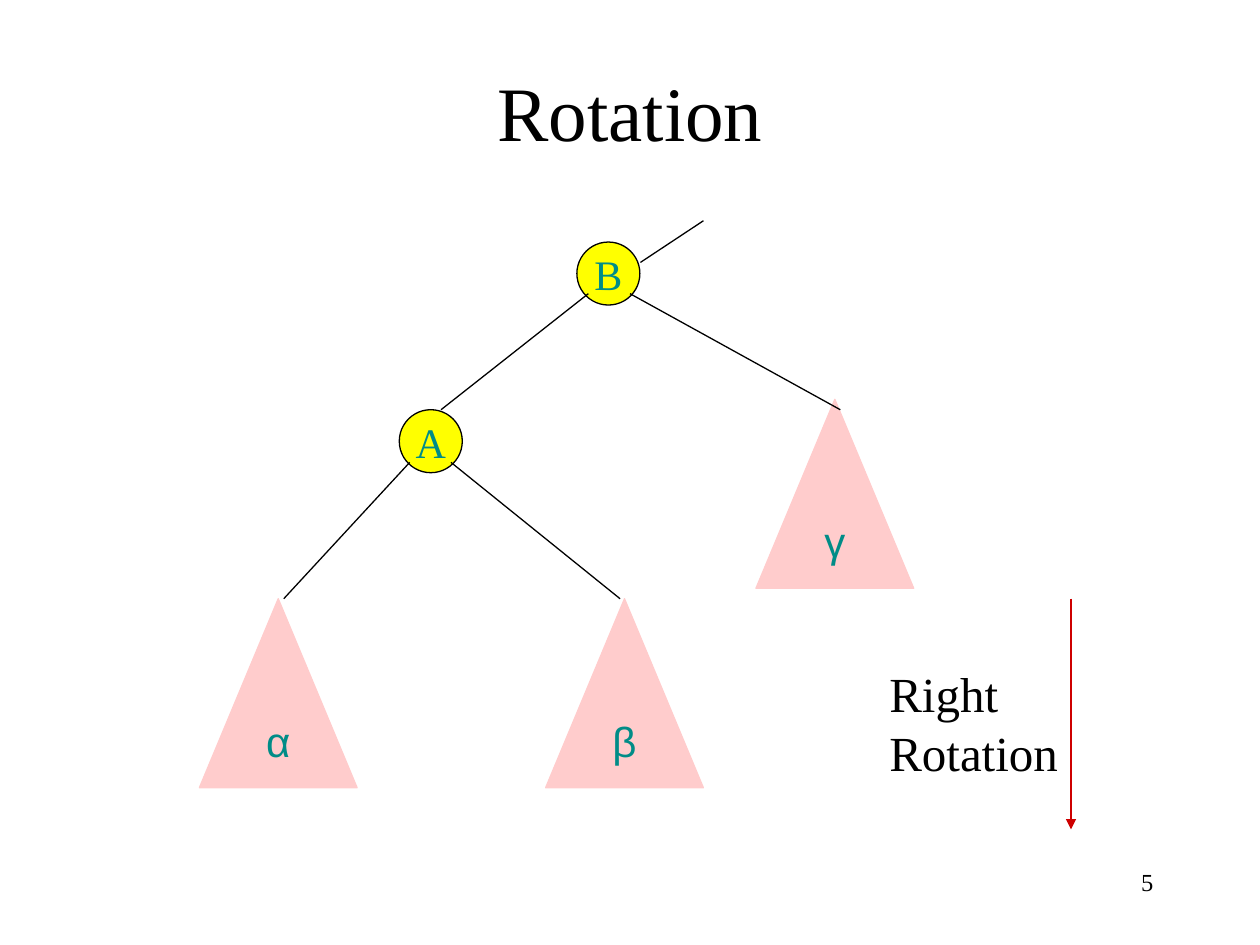
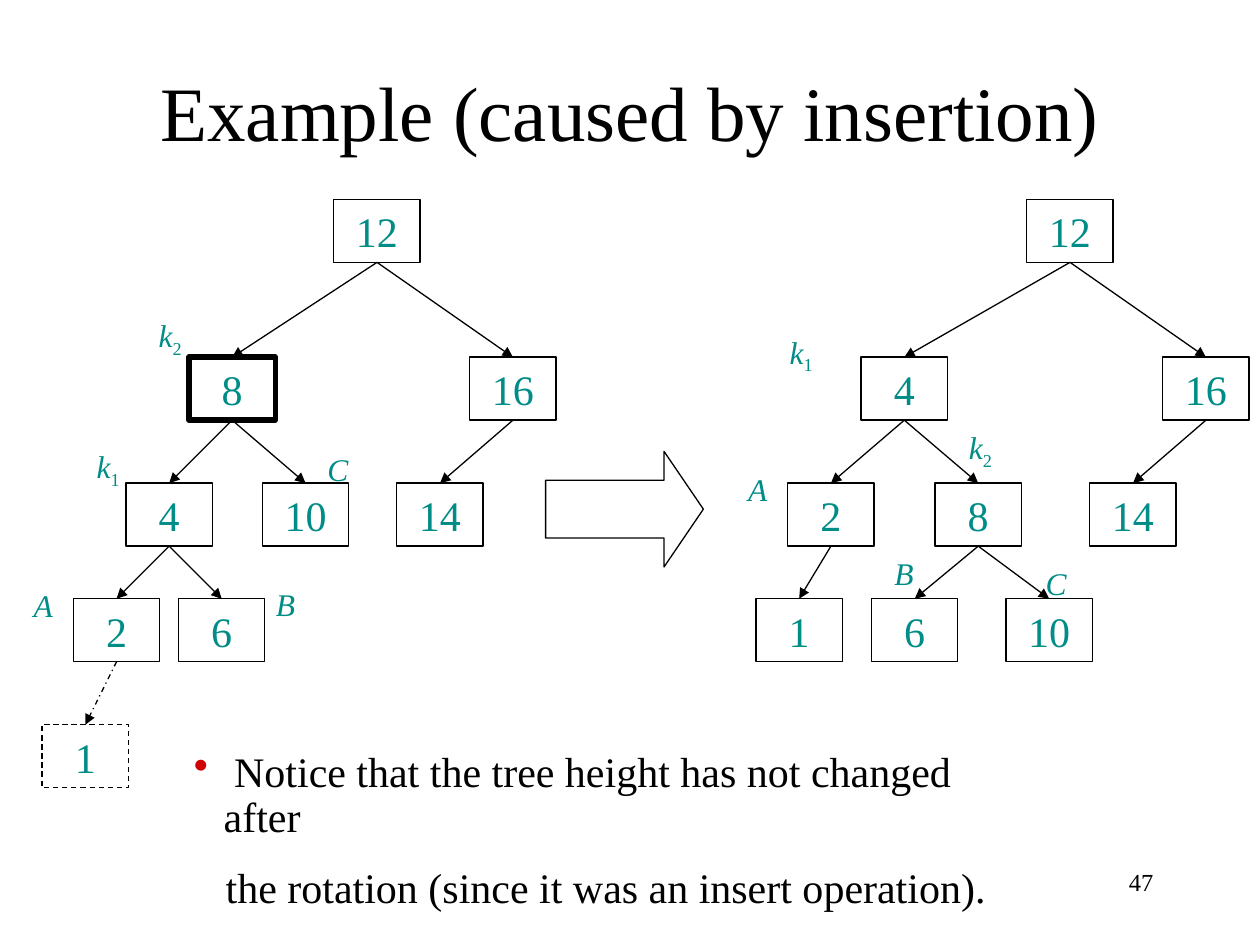
from lxml import etree
from pptx import Presentation
from pptx.dml.color import RGBColor
from pptx.enum.dml import MSO_LINE
from pptx.enum.shapes import MSO_CONNECTOR, MSO_SHAPE
from pptx.enum.text import MSO_ANCHOR, PP_ALIGN
from pptx.oxml.ns import qn
from pptx.util import Cm, Pt

LEFT, CENTER, RIGHT = PP_ALIGN.LEFT, PP_ALIGN.CENTER, PP_ALIGN.RIGHT
TOP, MIDDLE = MSO_ANCHOR.TOP, MSO_ANCHOR.MIDDLE
ELLIPSE, TRIANGLE = MSO_SHAPE.OVAL, MSO_SHAPE.ISOSCELES_TRIANGLE
RECTANGLE, RIGHT_ARROW = MSO_SHAPE.RECTANGLE, MSO_SHAPE.RIGHT_ARROW
DASH, DASH_DOT = MSO_LINE.DASH, MSO_LINE.DASH_DOT
STRAIGHT = MSO_CONNECTOR.STRAIGHT
BOTTOM_SITE, TOP_SITE = 2, 0

BLACK = RGBColor(0x00, 0x00, 0x00)
WHITE = RGBColor(0xFF, 0xFF, 0xFF)
TEAL = RGBColor(0x00, 0x8C, 0x87)
YELLOW = RGBColor(0xFF, 0xFF, 0x00)
PINK = RGBColor(0xFF, 0xCC, 0xCC)
RED = RGBColor(0xCE, 0x00, 0x00)
SERIF, SANS = "Times New Roman", "Arial"

# Content of the rotation slide; all positions are in centimetres
CIRCLE_SIZE = (1.27, 1.27)
CIRCLES = [("B", 11.63, 4.88), ("A", 8.05, 8.26)]
SUBTREE_SIZE = (3.18, 3.81)
SUBTREES = [("α", 4.02, 12.07), ("β", 11, 12.07), ("γ", 15.24, 8.05)]
BRANCHES = [
    ((11.86, 5.92), (8.89, 8.26)),
    ((12.7, 5.92), (16.94, 8.26)),
    ((8.26, 9.32), (5.72, 12.07)),
    ((9.09, 9.32), (12.5, 12.07)),
    ((12.91, 5.29), (14.18, 4.45)),
]
ROTATION_ARROW = ((21.59, 12.07), (21.59, 16.72))

# Content of the example slide: node value -> (left, level)
BOX_SIZE = (1.74, 1.27)
LEVEL_TOPS = [4.02, 7.2, 9.74, 12.07, 14.61]
TREE_BEFORE = {
    "nodes": {12: (6.73, 0), 8: (3.81, 1), 16: (9.47, 1), 14: (8, 2), 10: (5.29, 2),
              4: (2.54, 2), 6: (3.6, 3), 2: (1.48, 3), 1: (0.85, 4)},
    "edges": [(12, 8), (12, 16), (16, 14), (8, 10), (8, 4), (4, 6), (4, 2), (2, 1)],
    "labels": [("k", "2", 2.95, 6.25), ("k", "1", 1.7, 8.89), ("C", "", 6.35, 8.94),
               ("A", "", 0.43, 11.68), ("B", "", 5.31, 11.66)],
    "unbalanced": 8,
    "inserted": 1,
}
TREE_AFTER = {
    "nodes": {12: (20.7, 0), 4: (17.36, 1), 16: (23.44, 1), 14: (21.97, 2), 8: (18.85, 2),
              2: (15.88, 2), 10: (20.28, 3), 6: (17.57, 3), 1: (15.24, 3)},
    "edges": [(12, 4), (12, 16), (16, 14), (4, 2), (4, 8), (8, 10), (8, 6), (2, 1)],
    "labels": [("k", "2", 19.28, 8.51), ("k", "1", 15.67, 6.58), ("C", "", 20.83, 11.25),
               ("A", "", 14.83, 9.35), ("B", "", 17.78, 11.05)],
    "unbalanced": None,
    "inserted": None,
}
NOTICE = [
    " Notice that the tree height has not changed after",
    "the rotation (since it was an insert operation).",
]


def write(shape, lines, size, color=BLACK, font=SERIF, align=LEFT, anchor=TOP, wrap=False):
    frame = shape.text_frame
    frame.text = "\n".join(lines)
    frame.word_wrap = wrap
    frame.vertical_anchor = anchor
    for paragraph in frame.paragraphs:
        paragraph.alignment = align
        for run in paragraph.runs:
            run.font.size = Pt(size)
            run.font.name = font
            run.font.color.rgb = color
    return frame


def add_text(slide, left, top, width, height, lines, size, **style):
    box = slide.shapes.add_textbox(Cm(left), Cm(top), Cm(width), Cm(height))
    return write(box, lines, size, **style)


def add_figure(slide, kind, left, top, size, fill=None, line=BLACK, weight=0.75):
    shape = slide.shapes.add_shape(kind, Cm(left), Cm(top), Cm(size[0]), Cm(size[1]))
    shape.shadow.inherit = False
    if fill is None:
        shape.fill.background()
    else:
        shape.fill.solid()
        shape.fill.fore_color.rgb = fill
    shape.line.color.rgb = line
    shape.line.width = Pt(weight)
    return shape


def add_node(slide, kind, left, top, size, text, font=SERIF, **look):
    shape = add_figure(slide, kind, left, top, size, **look)
    write(shape, [text], 24, TEAL, font, CENTER, MIDDLE)
    return shape


def add_line(slide, start=(0, 0), end=(0, 0), color=BLACK, weight=0.75, dash=None, arrow=False):
    connector = slide.shapes.add_connector(STRAIGHT, *[Cm(v) for v in (*start, *end)])
    connector.line.color.rgb = color
    connector.line.width = Pt(weight)
    if dash is not None:
        connector.line.dash_style = dash
    properties = connector._element.spPr
    if arrow:
        etree.SubElement(properties.find(qn("a:ln")), qn("a:tailEnd"), type="triangle")
    etree.SubElement(properties, qn("a:effectLst"))
    return connector


def add_label(slide, letter, index, left, top):
    width = 0.97 if index else 0.9
    frame = add_text(slide, left, top, width, 1.02, [letter], 18, color=TEAL)
    paragraph = frame.paragraphs[0]
    paragraph.runs[0].font.italic = True
    if index:
        subscript = paragraph.add_run()
        subscript.text = index
        subscript.font.size = Pt(18)
        subscript.font.name = SERIF
        subscript.font.color.rgb = TEAL
        subscript._r.get_or_add_rPr().set("baseline", "-25000")


def add_tree(slide, tree):
    boxes = {}
    for value, (left, level) in tree["nodes"].items():
        weight = 3 if value == tree["unbalanced"] else 0.75
        box = add_node(slide, RECTANGLE, left, LEVEL_TOPS[level], BOX_SIZE, str(value), weight=weight)
        if value == tree["inserted"]:
            box.line.dash_style = DASH
        boxes[value] = box
    for label in tree["labels"]:
        add_label(slide, *label)
    for parent, child in tree["edges"]:
        dash = DASH_DOT if child == tree["inserted"] else None
        edge = add_line(slide, dash=dash, arrow=True)
        edge.begin_connect(boxes[parent], BOTTOM_SITE)
        edge.end_connect(boxes[child], TOP_SITE)


def add_notice(slide):
    frame = add_text(slide, 3.66, 15.01, 17.45, 2.62, NOTICE, 24, wrap=True)
    first, second = frame.paragraphs
    for paragraph in (first, second):
        paragraph.line_spacing = 0.9
    second.space_before = Pt(15)
    # Red hanging bullet on the first paragraph, plain indent on the second
    properties = first._p.get_or_add_pPr()
    properties.set("marL", str(Cm(0.6)))
    properties.set("indent", str(-Cm(0.6)))
    bullet_color = etree.SubElement(properties, qn("a:buClr"))
    etree.SubElement(bullet_color, qn("a:srgbClr"), val=str(RED))
    etree.SubElement(properties, qn("a:buChar"), char="•")
    second._p.get_or_add_pPr().set("marL", str(Cm(0.64)))


def new_slide(presentation, title, number):
    slide = presentation.slides.add_slide(presentation.slide_layouts[6])
    add_text(slide, 1.91, 0.64, 21.59, 3.18, [title], 44, align=CENTER, anchor=MIDDLE, wrap=True)
    add_text(slide, 18.21, 17.36, 5.29, 1.27, [str(number)], 14, align=RIGHT, wrap=True)
    return slide


def build_rotation(presentation):
    slide = new_slide(presentation, "Rotation", 5)
    for name, left, top in CIRCLES:
        add_node(slide, ELLIPSE, left, top, CIRCLE_SIZE, name, fill=YELLOW)
    for name, left, top in SUBTREES:
        add_node(slide, TRIANGLE, left, top, SUBTREE_SIZE, name, font=SANS, fill=PINK, line=PINK)
    for start, end in BRANCHES:
        add_line(slide, start, end)
    add_line(slide, *ROTATION_ARROW, color=RED, weight=1.5, arrow=True)
    add_text(slide, 17.68, 13.26, 3.91, 2.64, ["Right", "Rotation"], 28)


def build_example(presentation):
    slide = new_slide(presentation, "Example (caused by insertion)", 47)
    add_tree(slide, TREE_BEFORE)
    arrow = add_figure(slide, RIGHT_ARROW, 11, 9.1, (3.18, 2.33), fill=WHITE)
    arrow.adjustments[1] = 0.34
    add_tree(slide, TREE_AFTER)
    add_notice(slide)


def main():
    presentation = Presentation()
    presentation.slide_width, presentation.slide_height = Cm(25.4), Cm(19.05)
    build_rotation(presentation)
    build_example(presentation)
    presentation.save("out.pptx")


if __name__ == "__main__":
    main()
